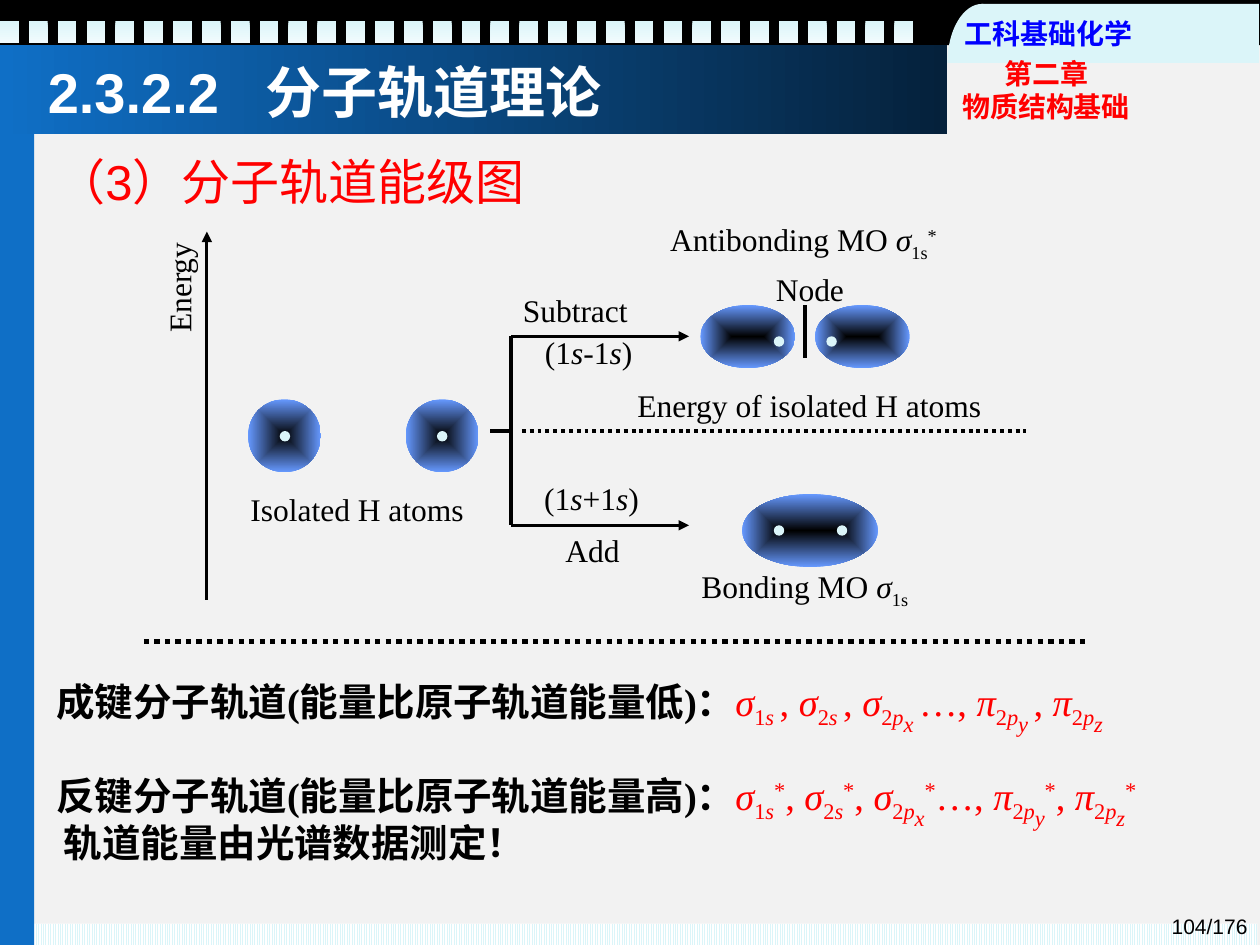
"""Build the slide on the energy levels of molecular orbitals."""
from dataclasses import dataclass
from math import cos, pi, sin

from lxml.etree import SubElement
from pptx import Presentation
from pptx.dml.color import RGBColor as Rgb
from pptx.enum.dml import MSO_LINE, MSO_PATTERN
from pptx.enum.shapes import MSO_CONNECTOR, MSO_SHAPE
from pptx.enum.text import MSO_ANCHOR as Anchor, MSO_AUTO_SIZE as AutoSize, PP_ALIGN as Align
from pptx.oxml.ns import qn
from pptx.util import Cm, Pt


@dataclass(frozen=True)
class Theme:
    page: Rgb = Rgb.from_string("F2F2F2")
    black: Rgb = Rgb.from_string("000000")
    white: Rgb = Rgb.from_string("FFFFFF")
    red: Rgb = Rgb.from_string("FF0000")
    course: Rgb = Rgb.from_string("0000FF")
    blue: Rgb = Rgb.from_string("0F6FC6")
    navy: Rgb = Rgb.from_string("05213B")
    ice: Rgb = Rgb.from_string("DBF5F9")
    pale: Rgb = Rgb.from_string("F1FBFD")
    cloud: Rgb = Rgb.from_string("6699FF")
    sans: str = "Arial"
    serif: str = "Times New Roman"
    title: int = 32
    heading: int = 28
    statement: int = 22
    label: int = 18
    chapter: int = 16
    number: int = 12


theme = Theme()
MARKS = {"/": (True, 0), "_": (False, -25), "~": (True, -25), "=": (True, -42), "^": (False, 30)}


def write(frame, marked, size, color, face=theme.serif, bold=False, align=Align.LEFT):
    """Fill a frame; pieces are split by | and may start with a mark for italic or baseline."""
    first, *pieces = marked.split("|")
    paragraph = frame.paragraphs[0]
    paragraph.text = first
    paragraph.alignment = align
    paragraph.font.size, paragraph.font.name = Pt(size), face
    paragraph.font.bold, paragraph.font.color.rgb = bold, color
    for piece in pieces:
        italic, baseline = MARKS.get(piece[0], (False, 0))
        run = paragraph.add_run()
        run.text = piece[1:] if piece[0] in MARKS else piece
        run.font.italic = italic
        if baseline:
            run.font._element.set("baseline", str(baseline * 1000))
    return paragraph


def paint(shape, color, end_color=None, angle=0):
    """Fill a shape with one colour or a linear gradient, without line and shadow."""
    shape.shadow.inherit = False
    shape.line.fill.background()
    if end_color is None:
        shape.fill.solid()
        shape.fill.fore_color.rgb = color
    else:
        shape.fill.gradient()
        shape.fill.gradient_angle = angle
        for stop, stop_color in zip(shape.fill.gradient_stops, (color, end_color)):
            stop.color.rgb = stop_color
    return shape


deck = Presentation()
deck.slide_width, deck.slide_height = Cm(25.4), Cm(19.05)
slide = deck.slides.add_slide(deck.slide_layouts[5])
slide.background.fill.solid()
slide.background.fill.fore_color.rgb = theme.page
shapes = slide.shapes

for box in [(0, 0.89, 19.05, 1.63), (0, 0, 25.4, 0.91)]:
    paint(shapes.add_shape(MSO_SHAPE.RECTANGLE, *map(Cm, box)), theme.black)

TEETH = 32
for index in range(TEETH):
    left = 18.03 * index / (TEETH - 1)
    tooth = shapes.add_shape(MSO_SHAPE.RECTANGLE, Cm(left), Cm(0.43), Cm(0.38), Cm(0.43))
    paint(tooth, theme.ice, theme.pale, 270)

footer = paint(shapes.add_shape(MSO_SHAPE.RECTANGLE, Cm(0.58), Cm(18.62), Cm(24.77), Cm(0.43)), theme.ice)
footer.fill.patterned()
footer.fill.pattern = MSO_PATTERN.LIGHT_VERTICAL
footer.fill.fore_color.rgb = theme.ice
footer.fill.back_color.rgb = theme.white

paint(shapes.add_shape(MSO_SHAPE.RECTANGLE, Cm(19.79), Cm(0.08), Cm(5.59), Cm(1.19)), theme.ice)
STEPS = 32
arc = [
    (Cm(19.8 + 0.7 * cos(pi * step / STEPS)), Cm(1.27 - 1.19 * sin(pi * step / STEPS)))
    for step in range(STEPS + 1)
]
corner = shapes.build_freeform(*arc[0])
corner.add_line_segments(arc[1:], close=True)
paint(corner.convert_to_shape(), theme.ice)

paint(shapes.add_shape(MSO_SHAPE.RECTANGLE, Cm(0), Cm(2.31), Cm(0.69), Cm(16.74)), theme.blue)
paint(shapes.add_shape(MSO_SHAPE.RECTANGLE, Cm(0), Cm(0.91), Cm(19.1), Cm(1.8)), theme.blue, theme.navy)

corner_notes = [
    ((19.51, 18.29, 5.89, 0.76), "104/176", theme.number, theme.black, False, Align.RIGHT),
    ((19.35, 0.33, 3.58, 0.69), "工科基础化学", theme.chapter, theme.course, True, Align.CENTER),
    ((19.3, 1.12, 3.58, 1.37), "第二章\v物质结构基础", theme.chapter, theme.red, True, Align.CENTER),
]
for box, words, size, color, bold, align in corner_notes:
    frame = shapes.add_textbox(*map(Cm, box)).text_frame
    frame.word_wrap, frame.auto_size = True, AutoSize.SHAPE_TO_FIT_TEXT
    frame.vertical_anchor = Anchor.BOTTOM
    if bold:
        frame.margin_left = frame.margin_right = frame.margin_top = frame.margin_bottom = 0
    write(frame, words, size, color, theme.sans, bold, align)

statements = [
    (13.06, "成键分子轨道(能量比原子轨道能量低)：|/σ|_1|~s |, |/σ|_2|~s |, |/σ|_2|~p|=x |…, "
            "|/π|_2|~p|=y |, |/π|_2|~p|=z"),
    (14.96, "反键分子轨道(能量比原子轨道能量高)：|/σ|_1|~s|^*|, |/σ|_2|~s|^*|, |/σ|_2|~p|=x|^*|…, "
            "|/π|_2|~p|=y|^*|, |/π|_2|~p|=z|^*"),
]
for top, marked in statements:
    frame = shapes.add_textbox(Cm(0.89), Cm(top), Cm(23.7), Cm(1.42)).text_frame
    frame.word_wrap, frame.auto_size = True, AutoSize.SHAPE_TO_FIT_TEXT
    statement = write(frame, marked, theme.statement, theme.red)
    statement.line_spacing = 1.4
    statement.runs[0].font.bold = True
    statement.runs[0].font.color.rgb = theme.black

lines = [
    ((4.17, 12.09, 4.17, 4.67), 1.75, "arrow"),
    ((10.31, 6.78, 10.31, 10.59), 2.25, "plain"),
    ((10.31, 6.78, 13.89, 6.78), 1.75, "arrow"),
    ((10.31, 10.59, 13.89, 10.59), 1.75, "arrow"),
    ((9.88, 8.69, 10.31, 8.69), 2.25, "plain"),
    ((10.52, 8.69, 20.68, 8.69), 2.25, "dotted"),
    ((16.23, 6.15, 16.23, 7.21), 2.25, "plain"),
    ((2.9, 12.93, 21.95, 12.93), 3, "dotted"),
]
for ends, width, style in lines:
    connector = shapes.add_connector(MSO_CONNECTOR.STRAIGHT, *map(Cm, ends))
    connector.line.width = Pt(width)
    connector.line.color.rgb = theme.black
    if style == "dotted":
        connector.line.dash_style = MSO_LINE.ROUND_DOT
    properties = connector.element.spPr
    if style == "arrow":
        SubElement(properties.find(qn("a:ln")), qn("a:tailEnd"), type="triangle")
    SubElement(properties, qn("a:effectLst"))

clouds = [
    (5, 8.05, 1.47, 1.47), (8.18, 8.05, 1.47, 1.47),
    (14.12, 6.15, 1.91, 1.27), (16.43, 6.15, 1.91, 1.27),
    (14.96, 9.96, 2.74, 1.47),
]
for box in clouds:
    cloud = paint(shapes.add_shape(MSO_SHAPE.OVAL, *map(Cm, box)), theme.black, theme.cloud)
    gradient = cloud.element.spPr.find(qn("a:gradFill"))
    gradient.remove(gradient.find(qn("a:lin")))
    radial = SubElement(gradient, qn("a:path"), {"path": "shape"})
    SubElement(radial, qn("a:fillToRect"), dict.fromkeys("ltrb", "50000"))

nuclei = [(5.64, 8.69), (8.81, 8.69), (15.6, 6.78), (16.66, 6.78), (15.6, 10.59), (16.87, 10.59)]
for left, top in nuclei:
    paint(shapes.add_shape(MSO_SHAPE.OVAL, Cm(left), Cm(top), Cm(0.21), Cm(0.21)), theme.ice)

labels = [
    (2.44, 5.28, 2.34, "Energy", Align.LEFT, 270),
    (4.8, 9.75, 4.9, "Isolated H atoms", Align.LEFT, 0),
    (10.29, 5.74, 2.97, "Subtract", Align.LEFT, 0),
    (10.72, 6.58, 2.29, "(1|/s|-1|/s|)", Align.CENTER, 0),
    (10.72, 9.53, 2.44, "(1|/s|+1|/s|)", Align.LEFT, 0),
    (11.13, 10.59, 1.63, "Add", Align.CENTER, 0),
    (12.6, 7.65, 7.52, "Energy of isolated H atoms", Align.LEFT, 0),
    (13.26, 4.32, 6.05, "Antibonding MO |/σ|_1s|^*", Align.LEFT, 0),
    (13.89, 11.3, 4.8, "Bonding MO |/σ|_1s", Align.LEFT, 0),
    (15.39, 5.31, 1.91, "Node", Align.LEFT, 0),
]
for left, top, width, marked, align, turn in labels:
    label = shapes.add_textbox(Cm(left), Cm(top), Cm(width), Cm(1.02))
    label.rotation = turn
    label.text_frame.word_wrap = marked == "Subtract"
    label.text_frame.auto_size = AutoSize.SHAPE_TO_FIT_TEXT
    write(label.text_frame, marked, theme.label, theme.black, align=align)

title = shapes.title
title.left, title.top, title.width, title.height = Cm(0.71), Cm(0.89), Cm(18.21), Cm(1.88)
title.text_frame.vertical_anchor = Anchor.MIDDLE
tabs = SubElement(title.text_frame.paragraphs[0]._p.get_or_add_pPr(), qn("a:tabLst"))
SubElement(tabs, qn("a:tab"), pos=str(Cm(4.38)), algn="l")
write(title.text_frame, "2.3.2.2\t分子轨道理论", theme.title, theme.white, theme.sans, True)
title.element.getparent().append(title.element)

closing = shapes.add_textbox(Cm(1.04), Cm(16.38), Cm(10.31), Cm(1.19)).text_frame
heading = shapes.add_textbox(Cm(0.89), Cm(2.92), Cm(10.01), Cm(1.45)).text_frame
for frame in (closing, heading):
    frame.word_wrap, frame.auto_size = True, AutoSize.SHAPE_TO_FIT_TEXT
write(closing, "轨道能量由光谱数据测定！", theme.statement, theme.black, bold=True)
topic = write(heading, "（3）|分子轨道能级图", theme.heading, theme.red)
topic.runs[0].font.name = theme.sans

deck.save("out.pptx")
